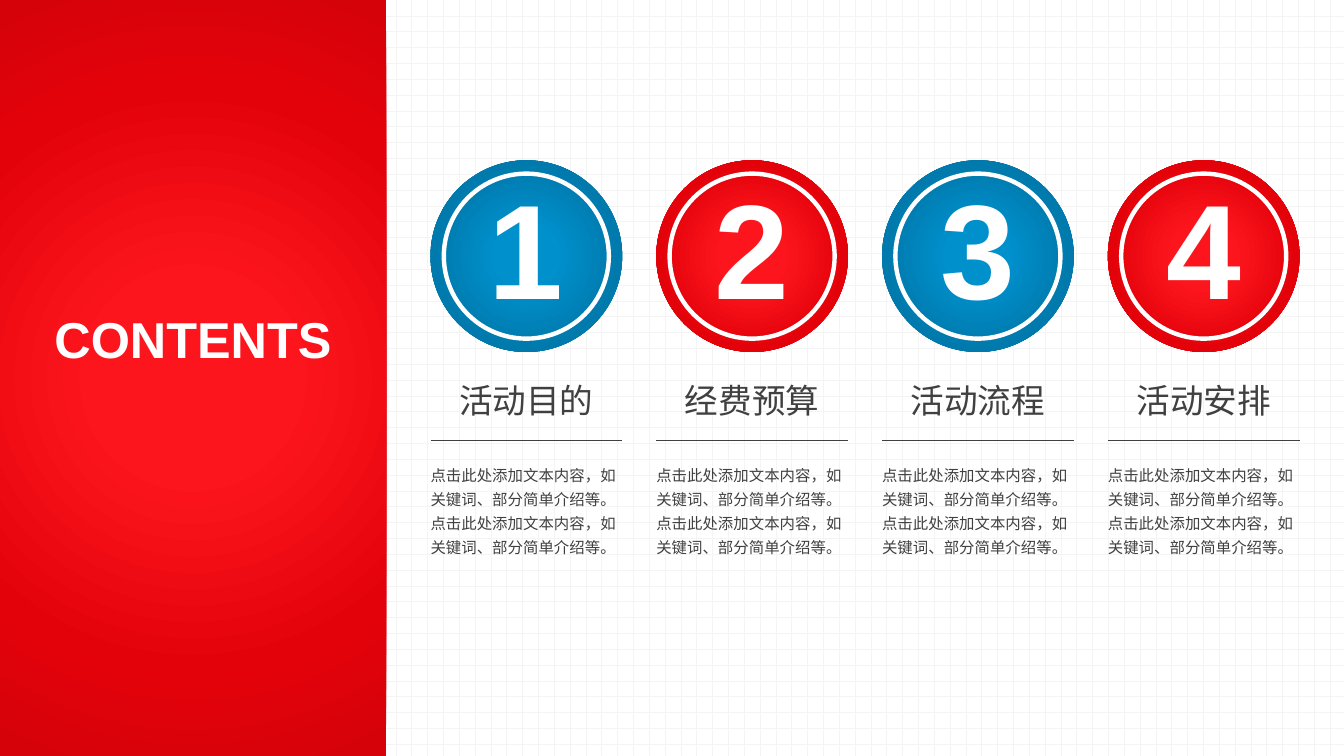
from dataclasses import dataclass

from lxml import etree
from pptx import Presentation
from pptx.dml.color import RGBColor
from pptx.enum.dml import MSO_PATTERN
from pptx.enum.shapes import MSO_CONNECTOR, MSO_SHAPE
from pptx.enum.text import MSO_ANCHOR, PP_ALIGN
from pptx.oxml.ns import qn
from pptx.util import Cm, Pt

DOTTED_GRID = MSO_PATTERN.DOTTED_GRID
STRAIGHT = MSO_CONNECTOR.STRAIGHT
RECT, OVAL, DONUT = MSO_SHAPE.RECTANGLE, MSO_SHAPE.OVAL, MSO_SHAPE.DONUT
MIDDLE = MSO_ANCHOR.MIDDLE
LEFT, CENTER = PP_ALIGN.LEFT, PP_ALIGN.CENTER

COLORS = {"white": "FFFFFF", "grid": "F4F4F4", "text": "404040"}
RED = ("FD151D", "FD151D", "E4020A", "D5020A")
BLUE = ("0090CC", "0090CC", "0079AC", "0071A0")
STOPS = (0, 23, 69, 97)
LATIN, CJK = "Arial", "Noto Sans CJK SC"
DESCRIPTION = "点击此处添加文本内容，如关键词、部分简单介绍等。" * 2

FIRST_LEFT, PITCH = 10.85, 5.69
DISC_TOP, DISC_SIZE, RING_SIZE = 4.04, 4.83, 4.27
TITLE_TOP, RULE_TOP, BODY_TOP = 9.45, 11.1, 11.48
PANEL_WIDTH, SLIDE_WIDTH, SLIDE_HEIGHT = 9.73, 33.87, 19.05


@dataclass
class Section:
    number: str
    title: str
    gradient: tuple[str, ...]


@dataclass
class Style:
    size: float
    font: str
    color: str
    bold: bool = False
    align: PP_ALIGN = CENTER
    spacing: float = 1.0


SECTIONS = [
    Section("1", "活动目的", BLUE),
    Section("2", "经费预算", RED),
    Section("3", "活动流程", BLUE),
    Section("4", "活动安排", RED),
]
HEADING = Style(36, LATIN, "white", bold=True)
NUMBER = Style(96, LATIN, "white", bold=True, spacing=0.9)
TITLE = Style(24, CJK, "text")
BODY = Style(11, CJK, "text", align=LEFT, spacing=1.3)


def rgb(name: str) -> RGBColor:
    return RGBColor.from_string(COLORS[name])


def write(tf, text: str, style: Style) -> None:
    p = tf.paragraphs[0]
    p.text = text
    p.alignment = style.align
    p.line_spacing = style.spacing
    p.font.size = Pt(style.size)
    p.font.bold = style.bold
    p.font.color.rgb = rgb(style.color)
    p.font.name = style.font
    props = p._p.pPr.find(qn("a:defRPr"))
    etree.SubElement(props, qn("a:ea"), typeface=style.font)


def add_text(s, left: float, top: float, width: float, height: float,
             text: str, style: Style, wrap: bool = True) -> None:
    box = s.shapes.add_textbox(Cm(left), Cm(top), Cm(width), Cm(height))
    box.text_frame.word_wrap = wrap
    write(box.text_frame, text, style)


def add_plain(s, kind: MSO_SHAPE, left: float, top: float,
              width: float, height: float):
    sp = s.shapes.add_shape(kind, Cm(left), Cm(top), Cm(width), Cm(height))
    sp.shadow.inherit = False
    sp.line.fill.background()
    return sp


def fill_radial(sp, gradient: tuple[str, ...]) -> None:
    sp.fill.gradient()
    grad = sp._element.spPr.find(qn("a:gradFill"))
    for child in list(grad):
        grad.remove(child)
    stops = etree.SubElement(grad, qn("a:gsLst"))
    for percent, color in zip(STOPS, gradient):
        stop = etree.SubElement(stops, qn("a:gs"), pos=str(percent * 1000))
        etree.SubElement(stop, qn("a:srgbClr"), val=color)
    circle = etree.SubElement(grad, qn("a:path"), path="circle")
    center = dict.fromkeys("ltrb", "50000")
    etree.SubElement(circle, qn("a:fillToRect"), **center)


def add_rule(s, left: float, top: float, width: float) -> None:
    rule = s.shapes.add_connector(
        STRAIGHT, Cm(left), Cm(top), Cm(left + width), Cm(top))
    rule.line.color.rgb = rgb("text")
    rule.line.width = Pt(1)
    etree.SubElement(rule._element.spPr, qn("a:effectLst"))


def add_section(s, section: Section, left: float) -> None:
    disc = add_plain(s, OVAL, left, DISC_TOP, DISC_SIZE, DISC_SIZE)
    fill_radial(disc, section.gradient)
    disc.text_frame.vertical_anchor = MIDDLE
    write(disc.text_frame, section.number, NUMBER)

    inset = (DISC_SIZE - RING_SIZE) / 2
    ring = add_plain(s, DONUT, left + inset, DISC_TOP + inset,
                     RING_SIZE, RING_SIZE)
    ring.adjustments[0] = 0.026
    ring.fill.solid()
    ring.fill.fore_color.rgb = rgb("white")

    add_text(s, left + 0.44, TITLE_TOP, 3.95, 1.28,
             section.title, TITLE, wrap=False)
    add_rule(s, left, RULE_TOP, DISC_SIZE)
    add_text(s, left - 0.25, BODY_TOP, 5.33, 2.7, DESCRIPTION, BODY)


def main() -> None:
    prs = Presentation()
    prs.slide_width, prs.slide_height = Cm(SLIDE_WIDTH), Cm(SLIDE_HEIGHT)
    s = prs.slides.add_slide(prs.slide_layouts[6])

    background = s.background.fill
    background.patterned()
    background.pattern = DOTTED_GRID
    background.fore_color.rgb = rgb("grid")
    background.back_color.rgb = rgb("white")

    panel = add_plain(s, RECT, 0, 0, PANEL_WIDTH, SLIDE_HEIGHT)
    fill_radial(panel, RED)
    add_text(s, 0, 7.65, PANEL_WIDTH, 1.8, "CONTENTS", HEADING)

    for i, section in enumerate(SECTIONS):
        add_section(s, section, FIRST_LEFT + i * PITCH)

    prs.save("out.pptx")


if __name__ == "__main__":
    main()
